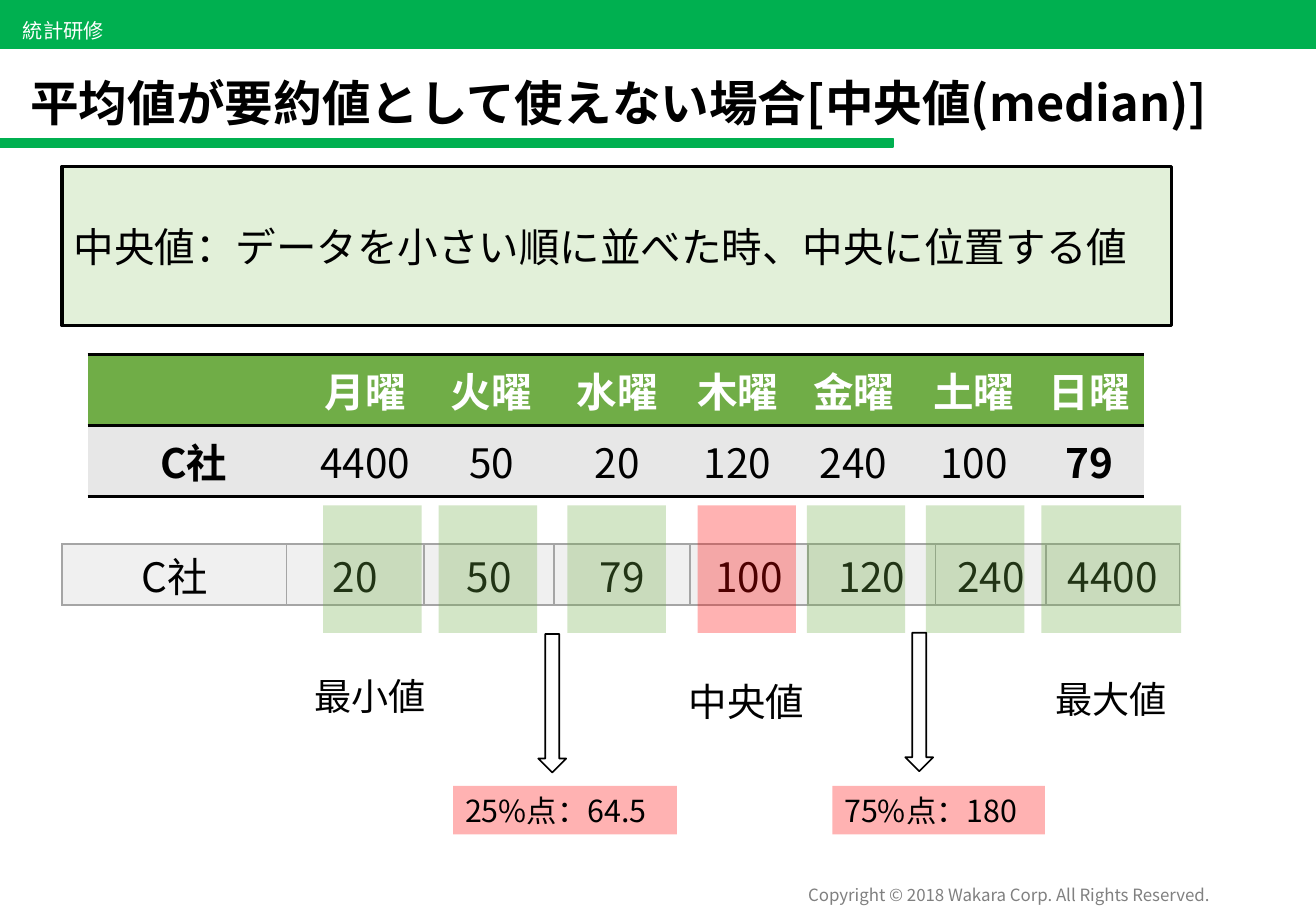
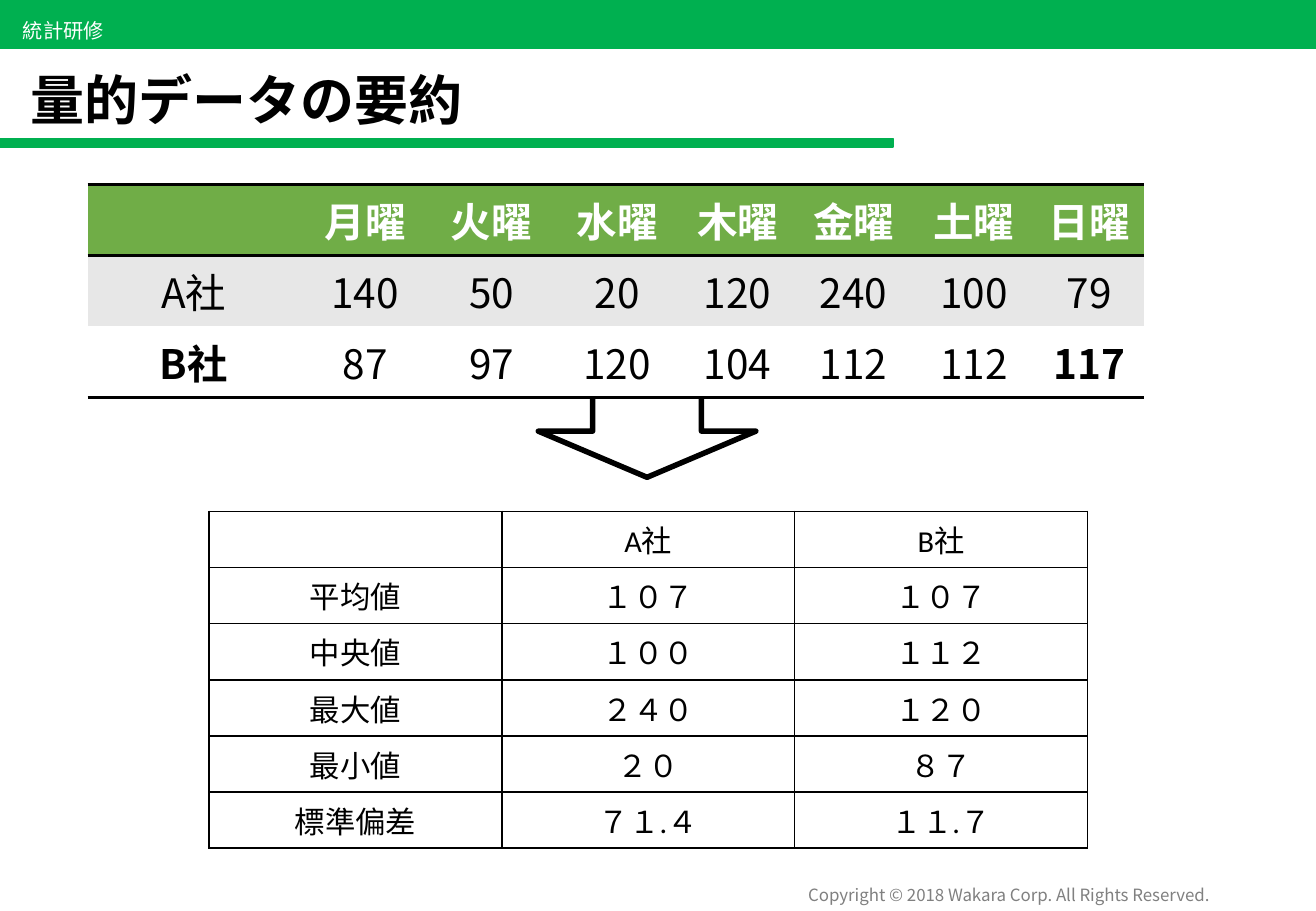
from dataclasses import dataclass

from lxml.etree import SubElement
from pptx import Presentation
from pptx.dml.color import RGBColor
from pptx.enum.shapes import MSO_SHAPE as Shape
from pptx.enum.text import MSO_ANCHOR as Anchor, MSO_AUTO_SIZE as AutoSize, PP_ALIGN as Align
from pptx.oxml.ns import qn
from pptx.util import Pt

SCALE = 9144  # EMU in one px, 100 px to the inch


@dataclass(frozen=True)
class Theme:
    font: str = "Noto Sans CJK JP"
    table_font: str = "Calibri"
    band: str = "00B050"
    leaf: str = "70AD47"
    pale_leaf: str = "E2F0D9"
    red: str = "FF0000"
    black: str = "000000"
    white: str = "FFFFFF"
    grey_row: str = "E7E7E7"
    light_row: str = "F0F0F0"
    grid: str = "A5A5A5"
    footer: str = "808080"
    long_title: float = 28.8
    title: float = 32
    body: float = 24
    median: float = 22.8
    label: float = 22
    small: float = 18
    header: float = 12
    copyright: float = 10


theme = Theme()


def write(paragraph, text, size, color=theme.black, bold=False, font=theme.font, align=Align.LEFT):
    """Add one run, with the Japanese typeface set beside the Latin one."""
    paragraph.alignment = align
    run = paragraph.add_run()
    run.text = text
    run.font.size = Pt(size)
    run.font.bold = bold
    run.font.color.rgb = RGBColor.from_string(color)
    run.font.name = font
    SubElement(run._r.get_or_add_rPr(), qn("a:ea"), typeface=theme.font)


def add_box(slide, box, kind=Shape.RECTANGLE, fill=None, line=None, width=1, opacity=100):
    """Add a preset shape, or a text box when kind is None."""
    place = [length * SCALE for length in box]
    if kind is None:
        shape = slide.shapes.add_textbox(*place)
    else:
        shape = slide.shapes.add_shape(kind, *place)
        shape.shadow.inherit = False
    if fill:
        shape.fill.solid()
        shape.fill.fore_color.rgb = RGBColor.from_string(fill)
        if opacity < 100:
            color = shape.element.spPr.find(qn("a:solidFill"))[0]
            SubElement(color, qn("a:alpha"), val=str(opacity * 1000))
    else:
        shape.fill.background()
    if line:
        shape.line.color.rgb = RGBColor.from_string(line)
        shape.line.width = Pt(width)
    else:
        shape.line.fill.background()
    shape.text_frame.word_wrap = False
    shape.text_frame.vertical_anchor = Anchor.MIDDLE
    return shape


presentation = Presentation()
presentation.slide_width = 1083 * SCALE
presentation.slide_height = 750 * SCALE

# Shared layout: title place, bands, header and copyright line
layout = presentation.slide_layouts[5]
for placeholder in list(layout.placeholders):
    if placeholder.placeholder_format.idx:
        placeholder.element.getparent().remove(placeholder.element)
    else:
        placeholder.left, placeholder.top = 15 * SCALE, 40 * SCALE
        placeholder.width, placeholder.height = 1036 * SCALE, 74 * SCALE

slides = []
for text, size in (
    ("平均値が要約値として使えない場合[中央値(median)]", theme.long_title),
    ("量的データの要約", theme.title),
):
    slide = presentation.slides.add_slide(layout)
    frame = slide.shapes.title.text_frame
    frame.auto_size = AutoSize.NONE
    frame.word_wrap = True
    frame.vertical_anchor = Anchor.BOTTOM
    frame.paragraphs[0].line_spacing = 0.9
    write(frame.paragraphs[0], text, size, bold=True)
    slides.append(slide)
median_slide, summary_slide = slides

shared = [
    add_box(median_slide, box, fill=theme.band, line=theme.band)
    for box in ((0, 0, 1083, 40), (0, 114, 735, 7))
]
for box, text, size, color, align in (
    ((655, 723, 350, 27), "Copyright © 2018 Wakara Corp. All Rights Reserved.",
     theme.copyright, theme.footer, Align.RIGHT),
    ((9, 10, 88, 30), "統計研修", theme.header, theme.white, Align.LEFT),
):
    shape = add_box(median_slide, box, kind=None)
    write(shape.text_frame.paragraphs[0], text, size, color, align=align)
    shared.append(shape)
for shape in shared:
    layout.shapes.element.append(shape.element)

# The arrow lies behind the tables
add_box(summary_slide, (443, 317, 179, 76), Shape.DOWN_ARROW, line=theme.black, width=3.25)

# Tables: ruled ones have lines at top, under the header and at the bottom
days = ["", "月曜", "火曜", "水曜", "木曜", "金曜", "土曜", "日曜"]
day_columns = [175, 107, 101, 106, 92, 99, 99, 91]
company_c = ["C社", "4400", "50", "20", "120", "240", "100", "79"]
company_a = ["A社", "140", "50", "20", "120", "240", "100", "79"]
company_b = ["B社", "87", "97", "120", "104", "112", "112", "117"]
sorted_c = ["C社", "20", "50", "79", "100", "120", "240", "4400"]
summary = [
    ["", "A社", "B社"],
    ["平均値", "１０７", "１０７"],
    ["中央値", "１００", "１１２"],
    ["最大値", "２４０", "１２０"],
    ["最小値", "２０", "８７"],
    ["標準偏差", "７１.４", "１１.７"],
]
ruled_fills = [theme.leaf, theme.grey_row, theme.white]
for slide, left, top, columns, row_height, rows, fills, size, font, grid in (
    (median_slide, 72, 292, day_columns, 58, [days, company_c], ruled_fills,
     theme.body, theme.font, None),
    (median_slide, 51, 448, [185, 113, 107, 112, 97, 105, 91, 110], 50, [sorted_c],
     [theme.light_row], theme.body, theme.font, theme.grid),
    (summary_slide, 172, 421, [241] * 3, 46, summary, [None] * 6,
     theme.small, theme.table_font, theme.black),
    (summary_slide, 72, 152, day_columns, 58, [days, company_a, company_b], ruled_fills,
     theme.body, theme.font, None),
):
    table = slide.shapes.add_table(
        len(rows), len(columns), left * SCALE, top * SCALE,
        sum(columns) * SCALE, row_height * len(rows) * SCALE,
    ).table
    table.first_row = table.horz_banding = False
    for column, width in zip(table.columns, columns):
        column.width = width * SCALE
    for row_index, (texts, fill) in enumerate(zip(rows, fills)):
        table.rows[row_index].height = row_height * SCALE
        is_header = fill == theme.leaf
        is_last = row_index == len(rows) - 1
        edges = {
            "a:lnL": grid,
            "a:lnR": grid,
            "a:lnT": grid or row_index < 2,
            "a:lnB": grid or is_header or is_last,
        }
        for column_index, text in enumerate(texts):
            cell = table.cell(row_index, column_index)
            properties = cell._tc.get_or_add_tcPr()
            for tag, drawn in edges.items():
                line = SubElement(properties, qn(tag), w=str(Pt(1 if grid else 2)))
                if drawn:
                    line_fill = SubElement(line, qn("a:solidFill"))
                    SubElement(line_fill, qn("a:srgbClr"), val=grid or theme.black)
                else:
                    SubElement(line, qn("a:noFill"))
            if fill:
                cell.fill.solid()
                cell.fill.fore_color.rgb = RGBColor.from_string(fill)
            else:
                cell.fill.background()
            if rows == [sorted_c]:
                cell.margin_top, cell.margin_bottom = SCALE, 0
            if text:
                ends_last_row = not grid and is_last and column_index in (0, len(columns) - 1)
                write(
                    cell.text_frame.paragraphs[0], text, size,
                    theme.white if is_header else theme.black,
                    bold=is_header or ends_last_row,
                    font=theme.table_font if is_header else font,
                    align=Align.CENTER,
                )

# Median slide: definition, highlights, labels and quartile arrows
definition = add_box(median_slide, (51, 137, 913, 131), fill=theme.pale_leaf,
                     line=theme.black, width=2)
definition.text_frame.word_wrap = True
write(definition.text_frame.paragraphs[0],
      "中央値：データを小さい順に並べた時、中央に位置する値", theme.body)

for left, width, color in (
    (266, 81, theme.leaf), (361, 81, theme.leaf), (467, 81, theme.leaf),
    (574, 81, theme.red),
    (664, 81, theme.leaf), (762, 81, theme.leaf), (857, 115, theme.leaf),
):
    add_box(median_slide, (left, 416, width, 105), fill=color, opacity=30)

for box, kind, fill, text, size in (
    ((249, 549, 113, 47), None, None, "最小値", theme.label),
    ((557, 553, 115, 48), None, None, "中央値", theme.median),
    ((859, 552, 113, 47), None, None, "最大値", theme.label),
    ((373, 647, 184, 40), Shape.RECTANGLE, theme.red, "25%点：64.5", theme.small),
    ((685, 647, 175, 40), Shape.RECTANGLE, theme.red, "75%点：180", theme.small),
):
    shape = add_box(median_slide, box, kind, fill, opacity=30)
    write(shape.text_frame.paragraphs[0], text, size)

for left, top in ((443, 522), (745, 521)):
    add_box(median_slide, (left, top, 23, 114), Shape.DOWN_ARROW, line=theme.black)

presentation.save("out.pptx")
